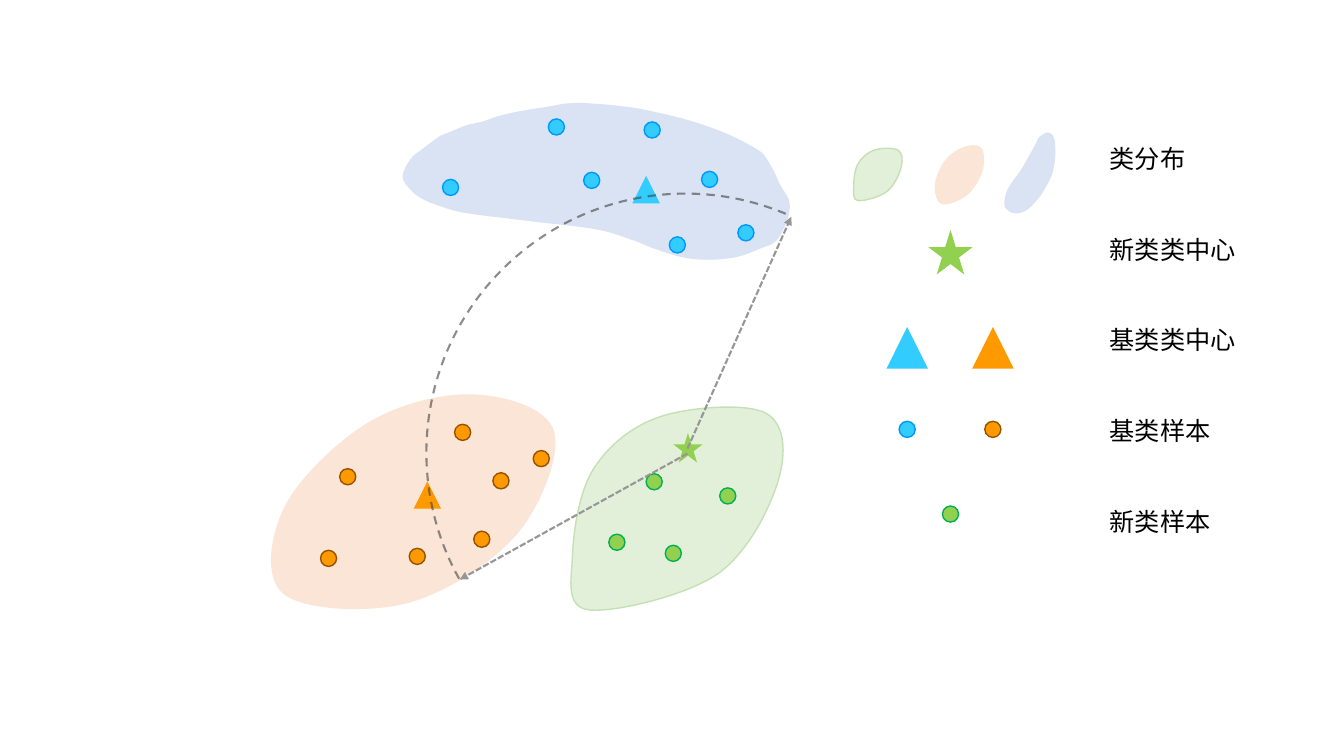
from dataclasses import dataclass

from lxml.etree import SubElement
from pptx import Presentation
from pptx.dml.color import RGBColor
from pptx.dml.line import LineFormat
from pptx.enum.dml import MSO_LINE
from pptx.enum.shapes import MSO_CONNECTOR, MSO_SHAPE
from pptx.enum.text import MSO_AUTO_SIZE, MSO_VERTICAL_ANCHOR
from pptx.oxml.ns import qn
from pptx.shapes.autoshape import Shape
from pptx.slide import Slide
from pptx.util import Inches, Pt

# The slide is a grid of 133.3 columns by 75 rows; all lengths count cells.
COLS, ROWS = 133.33, 75
CELL = Inches(0.1)
FONT = "Noto Sans CJK SC"

DOT, STAR, CONE = (MSO_SHAPE.FLOWCHART_CONNECTOR, MSO_SHAPE.STAR_5_POINT,
                   MSO_SHAPE.FLOWCHART_EXTRACT)
GREEN, ORANGE, BLUE = "92D050", "FF9900", "33CCFF"

Point = tuple[float, float]


@dataclass
class Blob:
    fill: str
    line: str
    knots: list[Point]


@dataclass
class Marks:
    """Equal marks, each placed by its centre."""
    kind: MSO_SHAPE
    size: float
    fill: str
    line: str
    spots: list[Point]


def cells(count: float) -> int:
    return round(count * CELL)


def color(code: str) -> RGBColor:
    return RGBColor.from_string(code)


def stroke(line: LineFormat, code: str, width: float,
           dash: MSO_LINE | None = None) -> None:
    line.color.rgb = color(code)
    line.width = Pt(width)
    if dash is not None:
        line.dash_style = dash
    SubElement(line._ln, qn("a:miter"), lim="800000")


def paint(shape: Shape, fill: str, line: str) -> None:
    shape.shadow.inherit = False
    shape.fill.solid()
    shape.fill.fore_color.rgb = color(fill)
    stroke(shape.line, line, 1)


def bend(shape: Shape, knots: list[Point]) -> None:
    """Turn the closed outline's straight sides into smooth cubic curves."""
    count = len(knots)
    sides = list(shape._element.iter(qn("a:lnTo")))
    for i, side in enumerate(sides):
        a, b, c, d = (knots[(i + k) % count] for k in (-1, 0, 1, 2))
        leave = [q + (r - p) / 6 for p, q, r in zip(a, b, c)]
        reach = [q - (r - p) / 6 for p, q, r in zip(b, c, d)]
        side.tag = qn("a:cubicBezTo")
        for child in list(side):
            side.remove(child)
        for x, y in (leave, reach, c):
            SubElement(side, qn("a:pt"), x=str(cells(x) - shape.left),
                       y=str(cells(y) - shape.top))


def draw_blob(slide: Slide, blob: Blob) -> None:
    dots = [(cells(x), cells(y)) for x, y in blob.knots]
    pen = slide.shapes.build_freeform(*dots[0], scale=1.0)
    pen.add_line_segments(dots[1:] + dots[:1], close=True)
    shape = pen.convert_to_shape()
    bend(shape, blob.knots)
    paint(shape, blob.fill, blob.line)


def draw_marks(slide: Slide, marks: Marks) -> None:
    size = cells(marks.size)
    for x, y in marks.spots:
        left, top = cells(x) - size // 2, cells(y) - size // 2
        shape = slide.shapes.add_shape(marks.kind, left, top, size, size)
        paint(shape, marks.fill, marks.line)


def draw_arrow(slide: Slide, start: Point, end: Point) -> None:
    ends = [cells(v) for v in (*start, *end)]
    arrow = slide.shapes.add_connector(MSO_CONNECTOR.STRAIGHT, *ends)
    stroke(arrow.line, "969696", 1.5, MSO_LINE.SQUARE_DOT)
    props = arrow._element.spPr
    SubElement(props.find(qn("a:ln")), qn("a:tailEnd"), type="triangle")
    SubElement(props, qn("a:effectLst"))


def draw_arc(slide: Slide) -> None:
    box = [cells(v) for v in (42.3, 19.2, 51.4, 51.4)]
    arc = slide.shapes.add_shape(MSO_SHAPE.ARC, *box)
    arc.adjustments[0], arc.adjustments[1] = 150.54, 20.42
    arc.rotation = 260
    arc.shadow.inherit = False
    arc.fill.background()
    stroke(arc.line, "404040", 1.5, MSO_LINE.DASH)
    tint = arc._element.spPr.find(qn("a:ln")).find(".//" + qn("a:srgbClr"))
    SubElement(tint, qn("a:alpha"), val="60000")


def draw_labels(slide: Slide, labels: list[str]) -> None:
    box = [cells(v) for v in (109.1, 13.7, 14.6, 40.4)]
    frame = slide.shapes.add_textbox(*box).text_frame
    frame.word_wrap = False
    frame.auto_size = MSO_AUTO_SIZE.SHAPE_TO_FIT_TEXT
    frame.vertical_anchor = MSO_VERTICAL_ANCHOR.TOP
    frame.text = "\n".join(labels)
    for i, para in enumerate(frame.paragraphs):
        para.space_before = Pt(43.3 if i else 0)
        for run in para.runs:
            run.font.size = Pt(18)
            run.font.name = FONT
            run.font.color.rgb = color("000000")
            SubElement(run.font._element, qn("a:ea"), typeface=FONT)


BLOBS = [
    Blob("E2F0D9", "C5E0B4", [
        (65.6, 41.3), (58.9, 46.5), (56.8, 55.1), (58.4, 60.5),
        (71.1, 57), (77.2, 47.7), (76, 41)]),
    Blob("FBE5D6", "FBE5D6", [
        (47.1, 39.2), (36.7, 41.9), (28.3, 50.3), (28.2, 58.9),
        (40.3, 59.8), (51.2, 53), (54.9, 42.8)]),
    Blob("DAE3F3", "DAE3F3", [
        (40.8, 15.8), (40, 17.5), (40.7, 18.7), (41.8, 19.6), (43.7, 20.4),
        (46.4, 21.1), (52.8, 21.9), (59.2, 22.7), (62.9, 23.8), (64.9, 24.6),
        (67.9, 25.5), (70.6, 25.7), (73.2, 25.4), (75.4, 24.6), (76.9, 23.9),
        (77.8, 22.4), (78.2, 21.2), (78.2, 19.9), (77.3, 18.3), (76.8, 17.2),
        (76, 15.8), (75.1, 14.9), (72, 13.3), (68.3, 12), (64.6, 11.1),
        (62.4, 10.7), (59.5, 10.4), (56.7, 10.3), (54.1, 10.7), (51.6, 11.1),
        (49.4, 11.6), (48, 12.1), (46.3, 12.5), (44.8, 13.1), (43.8, 13.5),
        (42, 14.8)]),
    Blob("E2F0D9", "C5E0B4", [
        (86.7, 14.9), (85.1, 16.3), (84.7, 18.5), (85.1, 19.9),
        (88, 19), (89.4, 16.6), (89.1, 14.9)]),
    Blob("DAE3F3", "DAE3F3", [
        (104.4, 13.5), (103.9, 13.2), (103.1, 13.7), (102.8, 14.3),
        (101.4, 16.8), (100.6, 17.9), (99.9, 19.1), (99.7, 20.3),
        (100, 20.8), (100.7, 21.1), (101.8, 20.8), (103, 19.6),
        (103.7, 18.5), (104.3, 17.3), (104.6, 15.7), (104.6, 14.3)]),
    Blob("FBE5D6", "FBE5D6", [
        (95.5, 14.7), (93.7, 16.1), (92.8, 18.5), (93.5, 20.2),
        (95.9, 19.3), (97.4, 17), (97.3, 14.7)]),
]

MARKS = [
    Marks(STAR, 2.5, GREEN, GREEN, [(68.25, 44.45)]),
    Marks(STAR, 4, GREEN, GREEN, [(94.3, 25.05)]),
    Marks(CONE, 2.5, ORANGE, ORANGE, [(42.4, 49.15)]),
    Marks(CONE, 2.5, BLUE, BLUE, [(64.1, 18.85)]),
    Marks(CONE, 3.9, ORANGE, ORANGE, [(98.5, 34.55)]),
    Marks(CONE, 3.9, BLUE, BLUE, [(90, 34.55)]),
    Marks(DOT, 1.6, GREEN, "00B050", [
        (72.2, 49.2), (64.9, 47.8), (61.2, 53.8), (66.8, 54.9), (94.3, 51)]),
    Marks(DOT, 1.6, ORANGE, "945200", [
        (45.9, 42.9), (32.6, 55.4), (47.8, 53.5), (53.7, 45.5),
        (49.7, 47.7), (41.4, 55.2), (34.5, 47.3), (98.5, 42.6)]),
    Marks(DOT, 1.6, BLUE, "0096FF", [
        (70.4, 17.8), (55.2, 12.6), (67.2, 24.3), (64.7, 12.9),
        (58.7, 17.9), (44.7, 18.6), (74, 23.1), (90, 42.6)]),
]


def main() -> None:
    deck = Presentation()
    deck.slide_width, deck.slide_height = cells(COLS), cells(ROWS)
    slide = deck.slides.add_slide(deck.slide_layouts[6])
    for blob in BLOBS:
        draw_blob(slide, blob)
    for marks in MARKS:
        draw_marks(slide, marks)
    draw_arrow(slide, (68.2, 45), (45.6, 57.5))
    draw_arrow(slide, (68.2, 44.5), (78.5, 21.5))
    draw_arc(slide)
    draw_labels(slide, ["类分布", "新类类中心", "基类类中心", "基类样本", "新类样本"])
    deck.save("out.pptx")


if __name__ == "__main__":
    main()
